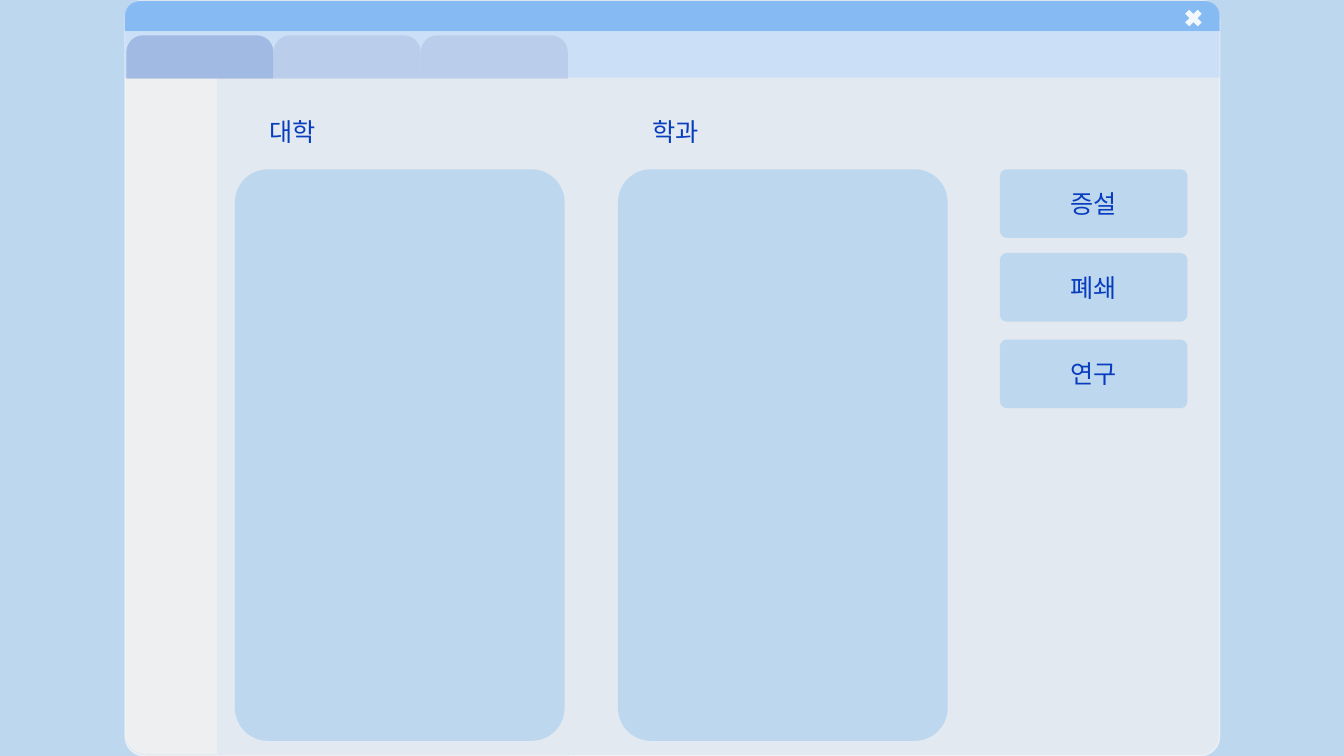
from lxml.etree import SubElement
from pptx import Presentation
from pptx.dml.color import RGBColor
from pptx.enum.shapes import MSO_SHAPE
from pptx.enum.text import MSO_ANCHOR, PP_ALIGN
from pptx.oxml.ns import qn
from pptx.util import Inches, Pt

SKY = RGBColor(0xBD, 0xD7, 0xEE)
WHITE = RGBColor(0xFF, 0xFF, 0xFF)
PALE_GREY = RGBColor(0xF2, 0xF2, 0xF2)
TITLE_BLUE = RGBColor(0x70, 0xAF, 0xF4)
STRIP_BLUE = RGBColor(0xC2, 0xDD, 0xFA)
ACTIVE_TAB = RGBColor(0x8F, 0xAA, 0xDC)
IDLE_TAB = RGBColor(0xB4, 0xC7, 0xE7)
INK = RGBColor(0x09, 0x3D, 0xBF)

ROUND = MSO_SHAPE.ROUNDED_RECTANGLE
ROUND_TOP = MSO_SHAPE.ROUND_2_SAME_RECTANGLE


class Screen:
    """Draws on one slide; every length is a percentage of the slide's size."""

    font_name = "Noto Sans CJK KR"
    font_format = {"name": font_name, "size": Pt(18), "bold": False}
    frame_format = {"word_wrap": True, "vertical_anchor": MSO_ANCHOR.MIDDLE}
    corner = 0.1

    def __init__(self, deck):
        self.width, self.height = deck.slide_width, deck.slide_height
        self.slide = deck.slides.add_slide(deck.slide_layouts[6])
        self.slide.background.fill.solid()
        self.slide.background.fill.fore_color.rgb = SKY
        self.shapes = self.slide.shapes

    def paint(self, fill, color, opacity):
        fill.solid()
        fill.fore_color.rgb = color
        if opacity < 100:
            for tint in fill._xPr.iter(qn("a:srgbClr")):
                SubElement(tint, qn("a:alpha"), val=str(opacity * 1000))

    def block(self, kind, box, color=None, opacity=100, corners=(), parent=None):
        left, top, width, height = box
        shape = (parent or self.slide).shapes.add_shape(
            kind,
            round(self.width * left / 100), round(self.height * top / 100),
            round(self.width * width / 100), round(self.height * height / 100))
        shape.shadow.inherit = False
        shape.line.fill.background()
        for index, corner in enumerate(corners):
            shape.adjustments[index] = corner
        if color is None:
            shape.fill.background()
        else:
            self.paint(shape.fill, color, opacity)
        return shape

    def outline(self, shape, color, opacity):
        shape.line.width = Pt(1)
        self.paint(shape.line.fill, color, opacity)

    def caption(self, words, box, color=None):
        shape = self.block(ROUND, box, color, corners=[self.corner])
        frame = shape.text_frame
        for key, value in self.frame_format.items():
            setattr(frame, key, value)
        paragraph = frame.paragraphs[0]
        paragraph.alignment = PP_ALIGN.CENTER
        run = paragraph.add_run()
        run.text = words
        for key, value in self.font_format.items():
            setattr(run.font, key, value)
        run.font.color.rgb = INK
        SubElement(run._r.get_or_add_rPr(), qn("a:ea"), typeface=self.font_name)


def main():
    deck = Presentation()
    deck.slide_width, deck.slide_height = Inches(13.33), Inches(7.5)
    screen = Screen(deck)

    # Window: frame, title bar, side bar and tab strip
    window = screen.slide.shapes.add_group_shape()
    left, width = 9.3, 81.45
    frame = screen.block(ROUND, (left, 0, width, 100), PALE_GREY, 70, [0.026], window)
    screen.outline(frame, WHITE, 50)
    screen.block(ROUND_TOP, (left, 0.13, width, 4), TITLE_BLUE, 80, [0.5, 0], window)
    side_bar = screen.block(MSO_SHAPE.ROUND_1_RECTANGLE, (left, 10.27, 6.83, 89.47),
                            PALE_GREY, 70, [0.23], window)
    side_bar.rotation = 180
    screen.block(MSO_SHAPE.RECTANGLE, (left, 4.13, width, 6.13), STRIP_BLUE, 70,
                 parent=window)

    # Close button
    screen.block(MSO_SHAPE.MATH_MULTIPLY, (87.9, 0.8, 1.8, 3.2), WHITE, 90)

    # Tabs
    tab_width = 10.95
    for column, tab_color in enumerate([ACTIVE_TAB, IDLE_TAB, IDLE_TAB]):
        screen.block(ROUND_TOP, (9.4 + column * tab_width, 4.67, tab_width, 5.73),
                     tab_color, 70, [0.387, 0])

    # List panels with their headings
    panel_top = 22.4
    for column, heading in enumerate(["대학", "학과"]):
        panel_left = 17.48 + column * 28.5
        screen.block(ROUND, (panel_left, panel_top, 24.53, 75.6), SKY,
                     corners=[screen.corner])
        screen.caption(heading, (panel_left - 0.5, 14.27, 9.53, 6.27))

    # Action buttons
    actions = {"증설": panel_top, "폐쇄": 33.47, "연구": 44.93}
    for action, top in actions.items():
        screen.caption(action, (74.4, top, 13.95, 9.07), SKY)

    deck.save("out.pptx")


if __name__ == "__main__":
    main()
